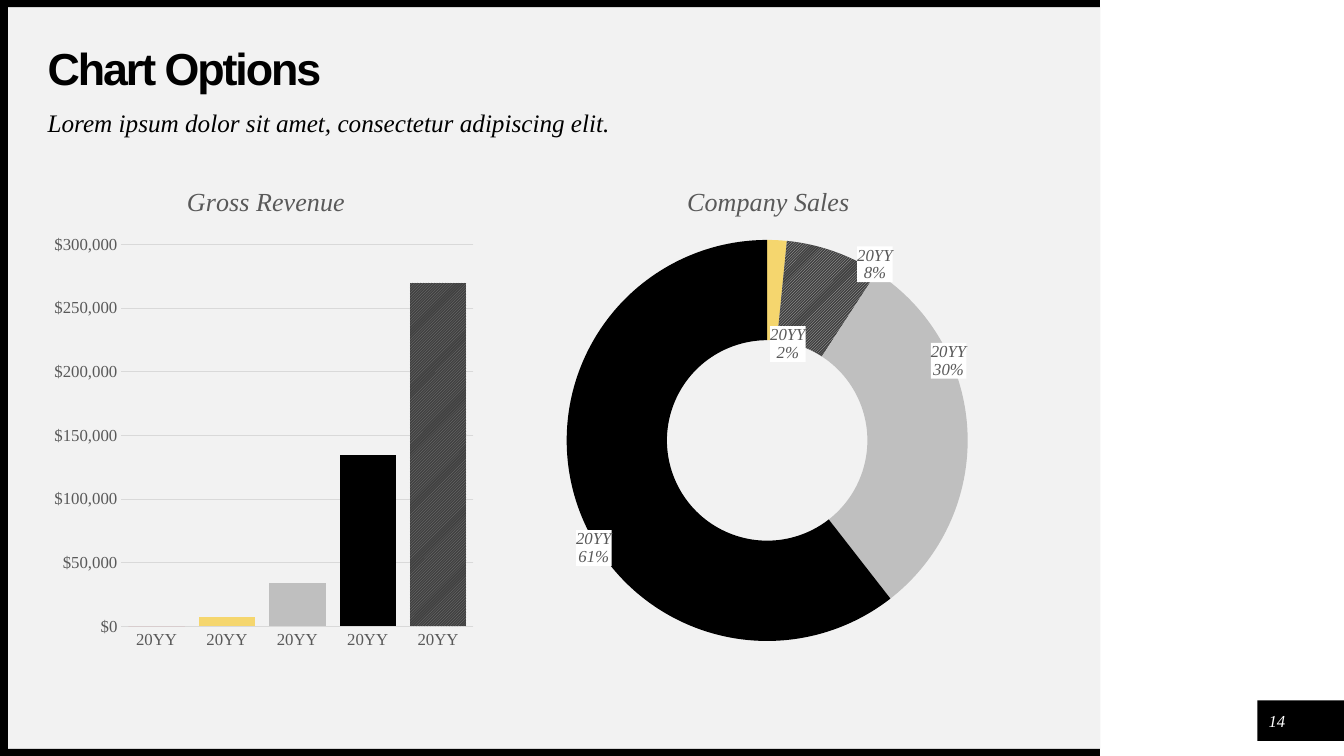
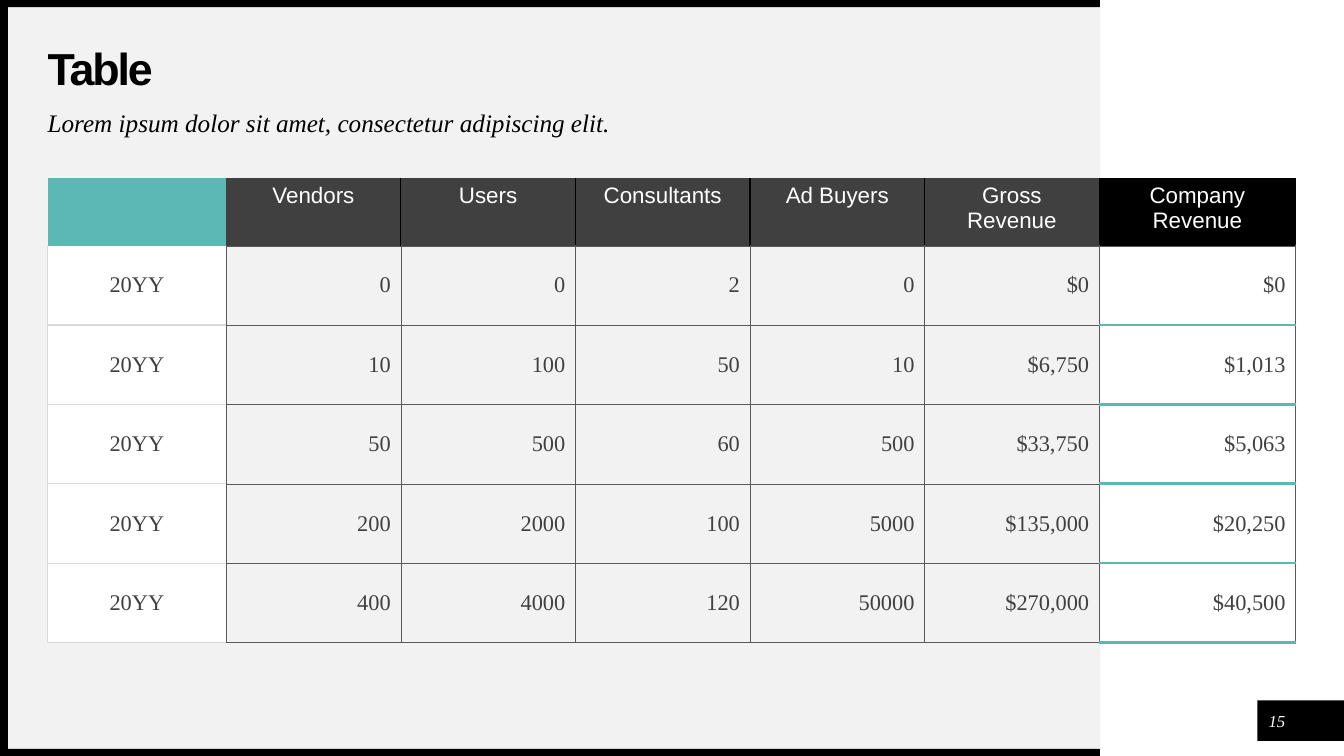
import copy
import pptx
import pptx.chart.data
import pptx.dml.color
import pptx.enum.chart
import pptx.enum.dml
import pptx.enum.shapes
import pptx.enum.text
import pptx.oxml
import pptx.oxml.ns
import pptx.util

Cm = pptx.util.Cm
Pt = pptx.util.Pt
qn = pptx.oxml.ns.qn
Align = pptx.enum.text.PP_ALIGN
Anchor = pptx.enum.text.MSO_ANCHOR
Kind = pptx.enum.chart.XL_CHART_TYPE

BLACK, WHITE, PALE, TEAL = "000000", "FFFFFF", "F2F2F2", "5CB8B3"
DARK, GREY, MID, SILVER, LIGHT = "404040", "595959", "808080", "BFBFBF", "D9D9D9"
ROSE, GOLD = "D78189", "F5D66E"
SERIF, SANS = "Times New Roman", "Arial"
LEFT = 1.2
LEAD = "Lorem ipsum dolor sit amet, consectetur adipiscing elit."
YEARS = ["20YY"] * 5
SALES = [0, 7000, 34000, 135000, 270000]
HEADS = ["", "Vendors", "Users", "Consultants", "Ad Buyers", "Gross Revenue", "Company Revenue"]
ROWS = [
    ["20YY", "0", "0", "2", "0", "$0", "$0"],
    ["20YY", "10", "100", "50", "10", "$6,750", "$1,013"],
    ["20YY", "50", "500", "60", "500", "$33,750", "$5,063"],
    ["20YY", "200", "2000", "100", "5000", "$135,000", "$20,250"],
    ["20YY", "400", "4000", "120", "50000", "$270,000", "$40,500"],
]


def tint(code):
    return pptx.dml.color.RGBColor.from_string(code)


def node(tag, **attrs):
    item = pptx.oxml.parse_xml(f"<{tag} {pptx.oxml.ns.nsdecls('a', 'c')}/>")
    for key, val in attrs.items():
        item.set(key, str(val))
    return item


def paint(fill, code):
    fill.solid()
    fill.fore_color.rgb = tint(code)


def hatch(fill, front, back):
    fill.patterned()
    fill.pattern = pptx.enum.dml.MSO_PATTERN.DARK_UPWARD_DIAGONAL
    fill.fore_color.rgb = tint(front)
    fill.back_color.rgb = tint(back)


def style(font, size, code, name=SERIF, bold=False, slant=False):
    font.size, font.name, font.bold, font.italic = Pt(size), name, bold, slant
    font.color.rgb = tint(code)


def layout(x, y, size=(), inner=False, edge=True):
    item, man = node("c:layout"), node("c:manualLayout")
    item.append(man)
    if inner:
        man.append(node("c:layoutTarget", val="inner"))
    if edge:
        for key in ("xMode", "yMode"):
            man.append(node("c:" + key, val="edge"))
    for key, val in zip("xywh", (x, y) + size):
        man.append(node("c:" + key, val=val))
    return item


def place(home, spot, item):
    for old in home.findall(qn("c:layout")):
        home.remove(old)
    home.insert(spot, item)


def edges(row, col, last):
    thin, black = (GREY, 0.25), (BLACK, 1)
    pale, teal = (LIGHT, 1), (TEAL, 2.25)
    if row == 0:
        return {"L": black if col > 1 else None,
                "R": black if 0 < col < last else None,
                "B": thin if col else None}
    if col == 0:
        return {"L": pale, "R": thin, "T": pale if row > 1 else None, "B": pale}
    if col == last:
        return {"L": thin, "R": thin, "T": teal if row > 1 else thin, "B": teal}
    return dict.fromkeys("LRTB", thin)


class Deck:
    """Holds the shared style and the current slide."""

    def __init__(self):
        self.file = pptx.Presentation()
        self.file.slide_width, self.file.slide_height = Cm(33.87), Cm(19.05)
        self.slide = None

    def page(self, title, num):
        self.slide = self.file.slides.add_slide(self.file.slide_layouts[6])
        self.block(0.2, 0.18, 27.53, 18.69, PALE)
        self.block(31.69, 17.65, 2.18, 1.02, BLACK)
        for y in (18.87, 0):
            self.block(0, y, 27.72, 0.18, BLACK)
        self.block(0, 0, 0.2, 19.05, BLACK)
        self.text(LEFT, 1.19, 25.55, 1.19, title, 32, name=SANS, bold=True,
                  lead=0.9, track=-150, anchor=Anchor.MIDDLE)
        self.text(LEFT, 2.79, 25.55, 0.99, LEAD, 18, slant=True, lead=0.9)
        self.text(31.8, 17.78, 0.76, 0.76, str(num), 12, WHITE, slant=True,
                  align=Align.CENTER, anchor=Anchor.MIDDLE)

    def block(self, x, y, w, h, code):
        shape = self.slide.shapes.add_shape(
            pptx.enum.shapes.MSO_SHAPE.RECTANGLE, Cm(x), Cm(y), Cm(w), Cm(h))
        shape.shadow.inherit = False
        paint(shape.fill, code)
        shape.line.fill.background()

    def text(self, x, y, w, h, words, size, code=BLACK, name=SERIF, bold=False,
             slant=False, align=Align.LEFT, anchor=Anchor.TOP, lead=None, track=0):
        frame = self.slide.shapes.add_textbox(Cm(x), Cm(y), Cm(w), Cm(h)).text_frame
        frame.word_wrap = True
        frame.vertical_anchor = anchor
        frame.margin_left = frame.margin_right = 0
        frame.margin_top = frame.margin_bottom = 0
        para = frame.paragraphs[0]
        para.text, para.alignment, para.line_spacing = words, align, lead
        style(para.font, size, code, name, bold, slant)
        if track:
            para._p.pPr.find(qn("a:defRPr")).set("spc", str(track))

    def chart(self, kind, x, w, title, fills, plot):
        data = pptx.chart.data.CategoryChartData()
        data.categories = YEARS
        data.add_series("Series 1", SALES)
        chart = self.slide.shapes.add_chart(
            kind, Cm(x), Cm(4.19), Cm(w), Cm(12.34), data).chart
        style(chart.font, 10, BLACK)
        chart.has_legend = False
        chart.has_title = True
        para = chart.chart_title.text_frame.paragraphs[0]
        para.text = title
        style(para.font, 18.6, GREY, slant=True)
        place(chart.chart_title._element, 1, layout(0.31, 0.03))
        place(chart._chartSpace.chart.plotArea, 0, layout(*plot, inner=True))
        series = chart.plots[0].series[0]
        for spot, look in enumerate(fills):
            form = series.points[spot].format
            form.line.fill.background()
            if isinstance(look, tuple):
                hatch(form.fill, *look)
            else:
                paint(form.fill, look)
        return chart

    def bars(self):
        chart = self.chart(Kind.COLUMN_CLUSTERED, LEFT, 10.95, "Gross Revenue",
                           [ROSE, GOLD, SILVER, BLACK, (MID, DARK)],
                           (0.17, 0.16, (0.81, 0.78)))
        plot = chart.plots[0]
        plot.gap_width, plot.vary_by_categories = 25, False
        paint(plot.series[0].format.fill, ROSE)
        none = pptx.enum.chart.XL_TICK_MARK.NONE
        for axis in (chart.category_axis, chart.value_axis):
            axis.major_tick_mark = axis.minor_tick_mark = none
            style(axis.tick_labels.font, 12, GREY)
        value = chart.value_axis
        value.minimum_scale, value.maximum_scale, value.major_unit = 0, 300000, 50000
        value.tick_labels.number_format = "[$$-409]#,##0"
        value.tick_labels.number_format_is_linked = False
        value.format.line.fill.background()
        for line in (chart.category_axis.format.line, value.major_gridlines.format.line):
            paint(line.fill, LIGHT)
            line.width = Pt(0.75)

    def ring(self):
        chart = self.chart(Kind.DOUGHNUT, 13.72, 11.23, "Company Sales",
                           [ROSE, GOLD, (SILVER, DARK), SILVER, BLACK],
                           (0.05, 0.15, (0.9, 0.82)))
        plot = chart.plots[0]
        plot.vary_by_categories = True
        plot._element.find(qn("c:holeSize")).set("val", "90")
        labels = plot.series[0].data_labels
        labels.show_value, labels.show_percentage = False, True
        labels.show_category_name = True
        labels.number_format, labels.number_format_is_linked = "0%", False
        style(labels.font, 12, GREY, slant=True)
        root = labels._element
        back, fill = node("c:spPr"), node("a:solidFill")
        fill.append(node("a:srgbClr", val=WHITE))
        back.append(fill)
        root.find(qn("c:txPr")).addprevious(back)
        split = node("c:separator")
        split.text = "\n"
        root.find(qn("c:showBubbleSize")).addnext(split)
        for lines in root.findall(qn("c:showLeaderLines")):
            lines.set("val", "0")
        parts = [part for part in root if part.tag != qn("c:showLeaderLines")]
        moves = [None, (0.03, 0.11), (0.13, -0.07), (0.07, -0.15), (-0.07, 0.12)]
        for spot, move in enumerate(moves):
            label = node("c:dLbl")
            label.append(node("c:idx", val=spot))
            if move:
                label.append(layout(*move, edge=False))
                label.extend([copy.deepcopy(part) for part in parts])
            else:
                label.append(node("c:delete", val=1))
            root.insert(spot, label)

    def table(self, rows, widths, heights):
        grid = self.slide.shapes.add_table(
            len(rows), len(widths), Cm(LEFT), Cm(4.49),
            Cm(sum(widths)), Cm(sum(heights))).table
        grid.first_row = grid.horz_banding = False
        for col, width in zip(grid.columns, widths):
            col.width = Cm(width)
        for row, height in zip(grid.rows, heights):
            row.height = Cm(height)
        last = len(widths) - 1
        heads = [TEAL] + [DARK] * (last - 1) + [BLACK]
        fills = {0: WHITE, last - 1: PALE}
        for r, row in enumerate(rows):
            for c, words in enumerate(row):
                cell = grid.cell(r, c)
                code = fills.get(c) if r else heads[c]
                if code:
                    paint(cell.fill, code)
                else:
                    cell.fill.background()
                cell.vertical_anchor = Anchor.MIDDLE if r else Anchor.TOP
                para = cell.text_frame.paragraphs[0]
                para.text = words
                para.alignment = Align.RIGHT if r and c else Align.CENTER
                style(para.font, 16, DARK if r else WHITE, SERIF if r else SANS)
                self.border(cell, edges(r, c, last))

    def border(self, cell, sides):
        props = cell._tc.get_or_add_tcPr()
        for spot, side in enumerate("LRTB"):
            look = sides.get(side)
            line = node("a:ln" + side)
            if look:
                line.set("w", str(int(Pt(look[1]))))
                fill = node("a:solidFill")
                fill.append(node("a:srgbClr", val=look[0]))
                line.append(fill)
            else:
                line.append(node("a:noFill"))
            props.insert(spot, line)


def main():
    deck = Deck()
    deck.page("Chart Options", 14)
    deck.bars()
    deck.ring()
    deck.page("Table", 15)
    deck.table([HEADS] + ROWS, [4.5] + [4.4] * 5 + [4.95], [1.7] + [2] * 5)
    deck.file.save("out.pptx")


if __name__ == "__main__":
    main()
